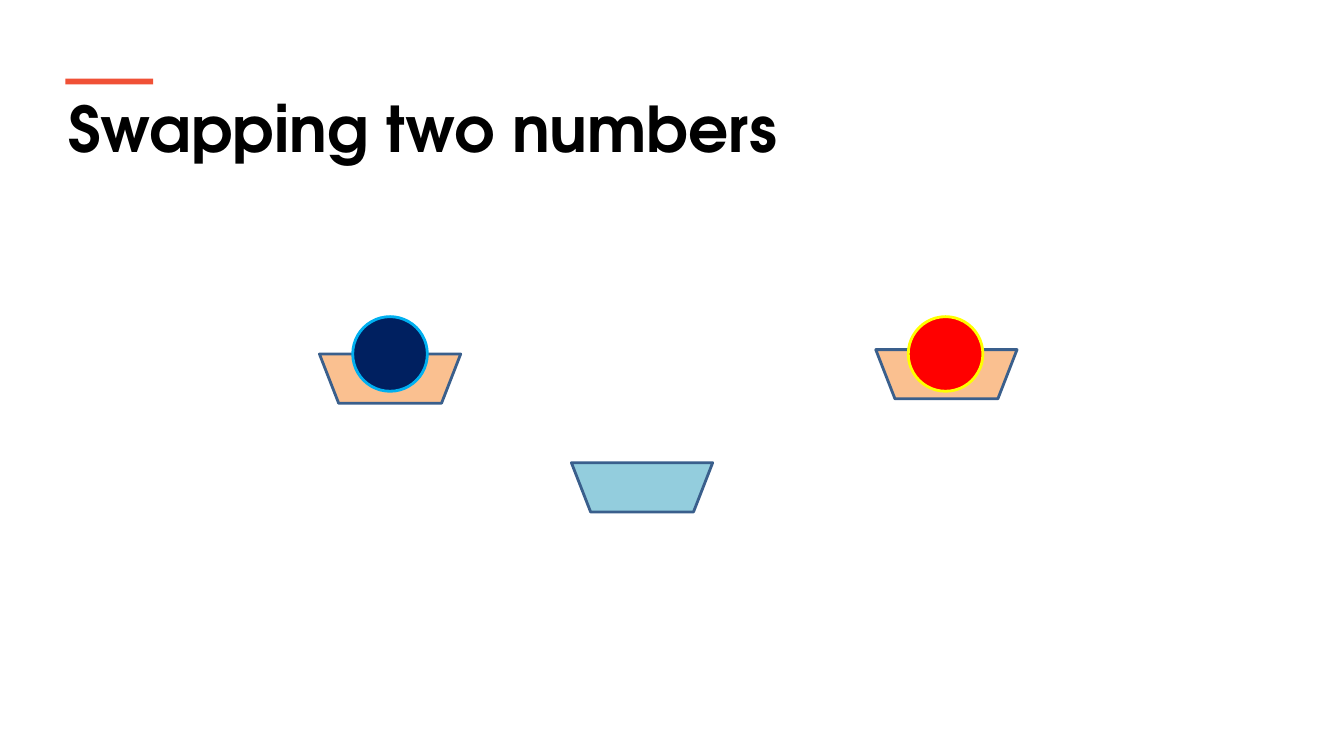
from pptx import Presentation
from pptx.dml.color import RGBColor
from pptx.enum.shapes import MSO_SHAPE as Preset
from pptx.util import Cm, Pt


def rgb(value):
    return RGBColor.from_string(value)


def add_figure(preset, left, top, width, height, fill, outline=None):
    """Add a flat preset shape, measured in cm, with an optional 2 pt outline."""
    figure = slide.shapes.add_shape(preset, Cm(left), Cm(top), Cm(width), Cm(height))
    figure.shadow.inherit = False
    figure.fill.solid()
    figure.fill.fore_color.rgb = rgb(fill)
    if outline:
        figure.line.color.rgb = rgb(outline)
        figure.line.width = Pt(2)
    else:
        figure.line.fill.background()
    return figure


deck = Presentation()
deck.slide_width, deck.slide_height = Cm(33.87), Cm(19.05)
slide = deck.slides.add_slide(deck.slide_layouts[6])

# Title with its accent bar
title = slide.shapes.add_textbox(Cm(1.47), Cm(2.13), Cm(30.94), Cm(2.18))
title.text_frame.word_wrap = True
heading = title.text_frame.paragraphs[0].add_run()
heading.text = "Swapping two numbers"
heading_format = {"name": "TeX Gyre Adventor", "size": Pt(45), "bold": True}
for attribute, value in heading_format.items():
    setattr(heading.font, attribute, value)
heading.font.color.rgb = rgb("000000")
add_figure(Preset.RECTANGLE, 1.65, 1.98, 2.21, 0.15, "F05136")

# Two full bowls and the empty temporary one
bowls = [(8.05, 8.92, "FAC090"), (22.07, 8.81, "FAC090"), (14.4, 11.66, "93CDDD")]
for left, top, fill in bowls:
    bowl = add_figure(Preset.TRAPEZOID, left, top, 3.56, 1.24, fill, "3A5F8C")
    bowl.rotation = 180
    bowl.adjustments[0] = 0.39

# The balls to be swapped
balls = [(8.89, "002060", "00B0F0"), (22.89, "FF0000", "FFFF00")]
for left, fill, outline in balls:
    add_figure(Preset.OVAL, left, 7.98, 1.88, 1.88, fill, outline)

deck.save("out.pptx")
